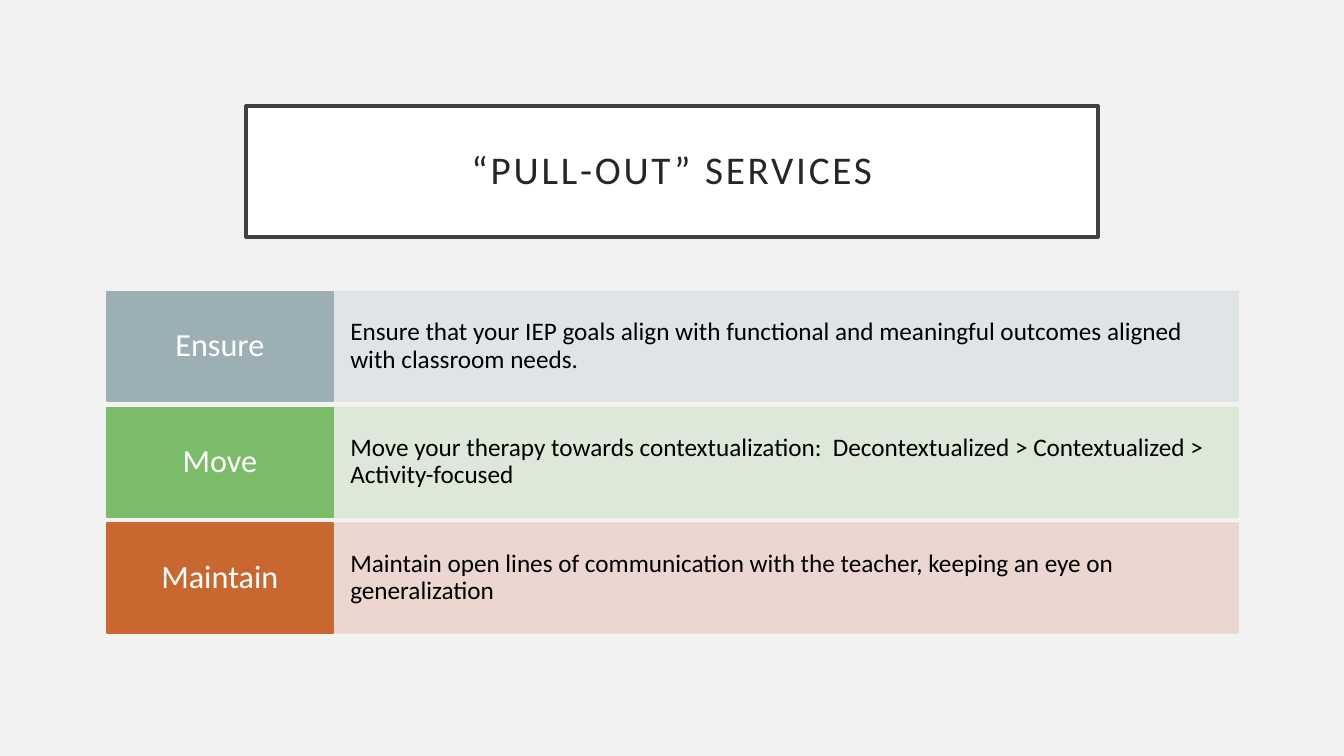
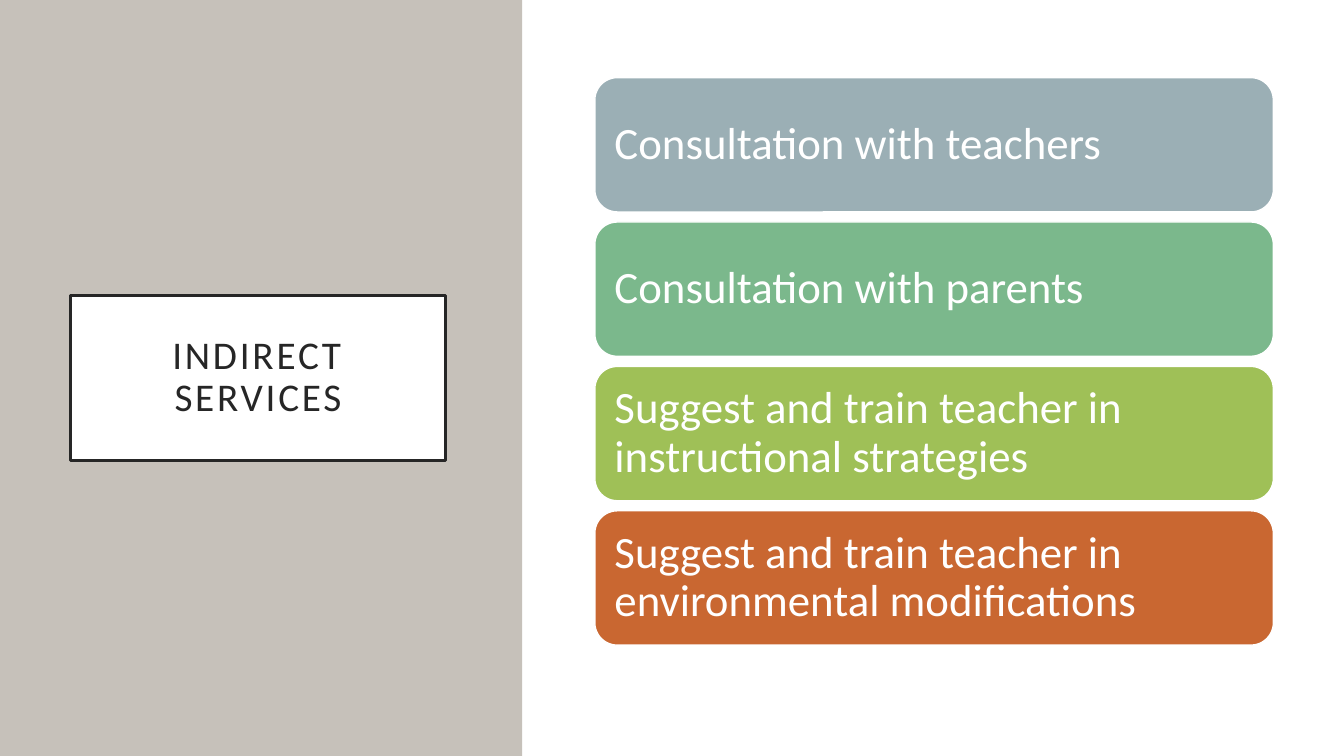
from lxml.etree import SubElement
from pptx import Presentation
from pptx.dml.color import RGBColor
from pptx.enum.shapes import MSO_SHAPE
from pptx.enum.text import MSO_ANCHOR, PP_ALIGN
from pptx.oxml.ns import qn
from pptx.util import Inches, Pt

WIDTH, HEIGHT = 13.33, 7.5
FONT = "Calibri"
WHITE = RGBColor(0xFF, 0xFF, 0xFF)
BLACK = RGBColor(0x00, 0x00, 0x00)
INK = RGBColor(0x26, 0x26, 0x26)
CHARCOAL = RGBColor(0x40, 0x40, 0x40)
MIST = RGBColor(0xF2, 0xF2, 0xF2)
STONE = RGBColor(0xC6, 0xC1, 0xBA)
SLATE = RGBColor(0x9B, 0xAF, 0xB5)
GREEN = RGBColor(0x7A, 0xBC, 0x69)
SEA = RGBColor(0x7B, 0xB8, 0x8C)
LIME = RGBColor(0x9F, 0xC0, 0x57)
RUST = RGBColor(0xC9, 0x67, 0x31)
PALE_SLATE = RGBColor(0xDE, 0xE3, 0xE5)
PALE_GREEN = RGBColor(0xDB, 0xE8, 0xD6)
PALE_RUST = RGBColor(0xEB, 0xD3, 0xCD)

SERVICES = [
    ("Ensure", SLATE, PALE_SLATE,
     "Ensure that your IEP goals align with functional and meaningful "
     "outcomes aligned with classroom needs."),
    ("Move", GREEN, PALE_GREEN,
     "Move your therapy towards contextualization:  Decontextualized > "
     "Contextualized > Activity-focused"),
    ("Maintain", RUST, PALE_RUST,
     "Maintain open lines of communication with the teacher, keeping an "
     "eye on generalization"),
]
INDIRECT = [
    ("Consultation with teachers", SLATE),
    ("Consultation with parents", SEA),
    ("Suggest and train teacher in instructional strategies", LIME),
    ("Suggest and train teacher in environmental modifications", RUST),
]


def add_box(s, box, fill, line=None, weight=1, kind=MSO_SHAPE.RECTANGLE):
    """Add a flat filled shape, outlined if a line colour is given."""
    sp = s.shapes.add_shape(kind, *(Inches(v) for v in box))
    sp.shadow.inherit = False
    sp.fill.solid()
    sp.fill.fore_color.rgb = fill
    if line is None:
        sp.line.fill.background()
    else:
        sp.line.color.rgb = line
        sp.line.width = Pt(weight)
    return sp


def write(sp, text, size, color, inset, align=PP_ALIGN.LEFT):
    """Write one vertically centred paragraph in a shape and return its run."""
    tf = sp.text_frame
    tf.word_wrap = True
    tf.vertical_anchor = MSO_ANCHOR.MIDDLE
    tf.margin_left = tf.margin_right = Inches(inset)
    tf.margin_top = tf.margin_bottom = Inches(inset)
    tf.text = text
    p = tf.paragraphs[0]
    p.alignment = align
    p.line_spacing = 0.9
    r = p.runs[0]
    r.font.name = FONT
    r.font.size = Pt(size)
    r.font.color.rgb = color
    return r


def set_opacity(sp, percent):
    """Make the fill and outline of a shape partly transparent."""
    for color in list(sp._element.spPr.iter(qn("a:srgbClr"))):
        SubElement(color, qn("a:alpha")).set("val", str(percent * 1000))


def add_slide(prs, background):
    """Add a blank slide with a plain background."""
    s = prs.slides.add_slide(prs.slide_layouts[6])
    s.background.fill.solid()
    s.background.fill.fore_color.rgb = background
    return s


def add_title(s, box, text, border):
    """Add the framed, letter-spaced title."""
    sp = add_box(s, box, WHITE, border, 2.5)
    r = write(sp, text, 28, INK, 0.2, PP_ALIGN.CENTER)
    r._r.get_or_add_rPr().set("spc", "200")


def split_rows(box, count, gap):
    """Split a box into equal rows separated by a gap."""
    left, top, width, height = box
    row = (height - gap * (count - 1)) / count
    return [(left, top + i * (row + gap), width, row) for i in range(count)]


def add_label_rows(s, box, items, gap=0.06, share=0.2):
    """Add rows that pair a coloured label with a pale description."""
    rows = split_rows(box, len(items), gap)
    for (left, top, width, height), (label, color, pale, text) in zip(rows, items):
        label_w = width * share
        sp = add_box(s, (left + label_w, top, width - label_w, height), pale, pale)
        set_opacity(sp, 90)
        write(sp, text, 18, BLACK, 0.17)
        sp = add_box(s, (left, top, label_w, height), color, color)
        write(sp, label, 23, WHITE, 0.12, PP_ALIGN.CENTER)


def add_cards(s, box, items, gap=0.1):
    """Add a stack of rounded cards."""
    for row, (text, color) in zip(split_rows(box, len(items), gap), items):
        sp = add_box(s, row, color, WHITE, kind=MSO_SHAPE.ROUNDED_RECTANGLE)
        write(sp, text, 32, WHITE, 0.13)


def build_pull_out(prs):
    """Build the slide with a title above labelled rows."""
    s = add_slide(prs, MIST)
    add_title(s, (2.44, 1.05, 8.45, 1.3), "“PULL-OUT” SERVICES", CHARCOAL)
    add_label_rows(s, (1.06, 2.89, 11.22, 3.39), SERVICES)


def build_indirect(prs):
    """Build the slide with a title panel beside a stack of cards."""
    s = add_slide(prs, WHITE)
    add_box(s, (0, 0, 5.18, HEIGHT), STONE)
    add_title(s, (0.7, 2.93, 3.72, 1.64), "INDIRECT SERVICES", INK)
    add_cards(s, (5.9, 0.77, 6.73, 5.63), INDIRECT)


def main():
    """Build and save the presentation."""
    prs = Presentation()
    prs.slide_width = Inches(WIDTH)
    prs.slide_height = Inches(HEIGHT)
    build_pull_out(prs)
    build_indirect(prs)
    prs.save("out.pptx")


if __name__ == "__main__":
    main()
